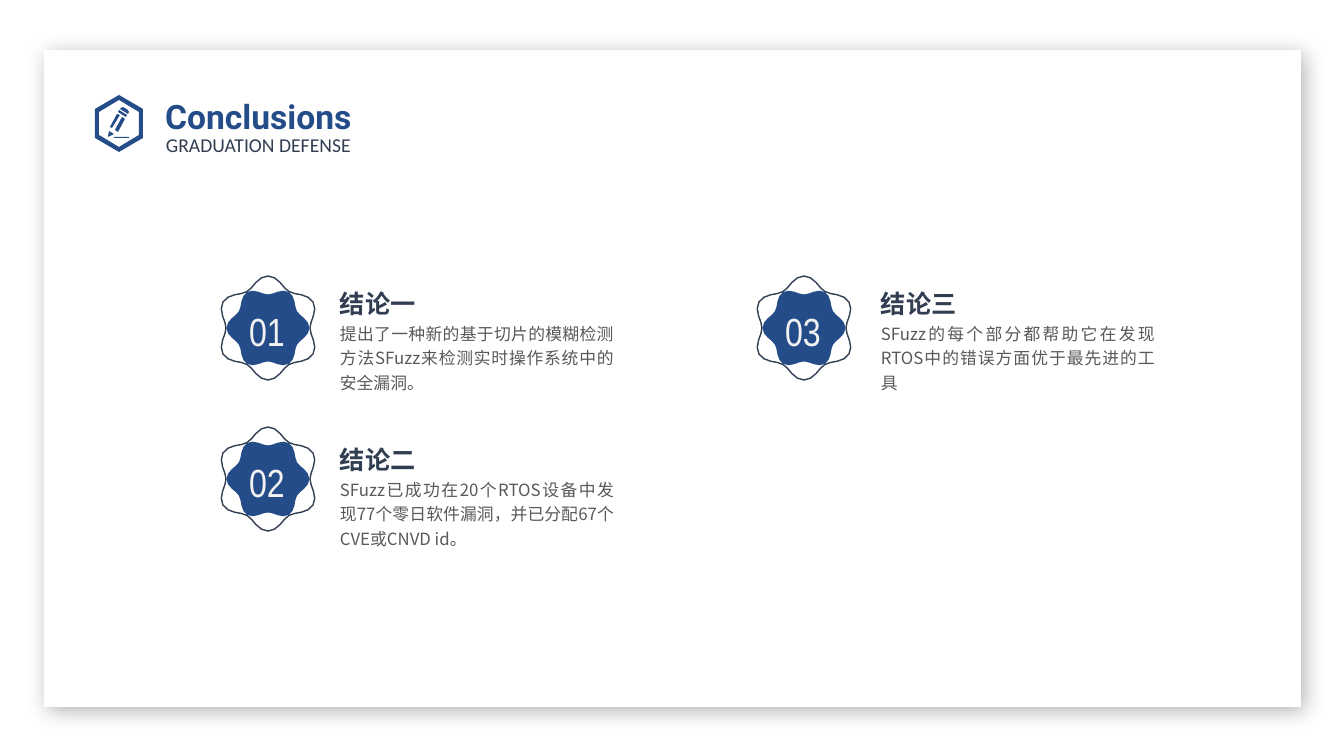
"""Build the conclusions slide of a graduation defense."""
import math
from dataclasses import dataclass
from typing import Any

import pptx
import pptx.dml.color
import pptx.enum.shapes
import pptx.enum.text
import pptx.oxml
import pptx.oxml.ns
import pptx.util
from lxml import etree

PX = 914400 / 100.8
STEPS = 48
ALIGN = pptx.enum.text.PP_ALIGN
Point = tuple[float, float]


@dataclass(frozen=True)
class Theme:
    white: str = "FFFFFF"
    blue: str = "244C89"
    navy: str = "313D51"
    gray: str = "595959"
    pale: str = "F2F2F2"
    title: int = 24
    sub: int = 14
    num: int = 28
    head: int = 18
    body: int = 12
    cjk: str = "Noto Sans CJK SC"


@dataclass(frozen=True)
class Item:
    num: str
    x: int
    y: int
    left: int
    top: int
    head: str
    body: str


@dataclass(frozen=True)
class Bloom:
    mean: float
    wave: float
    fill: str | None
    line: str | None


LOOK = Theme()
ITEMS = [
    Item("01", 268, 328, 340, 282, "结论一",
         "提出了一种新的基于切片的模糊检测方法SFuzz来检测实时操作系统中的安全漏洞。"),
    Item("02", 268, 479, 340, 438, "结论二",
         "SFuzz已成功在20个RTOS设备中发现77个零日软件漏洞，并已分配67个CVE或CNVD id。"),
    Item("03", 804, 328, 881, 282, "结论三",
         "SFuzz的每个部分都帮助它在发现RTOS中的错误方面优于最先进的工具"),
]
CORE = Bloom(37.5, 4, LOOK.blue, None)
RIM = Bloom(47, -5, None, LOOK.navy)
ICON: list[list[Point]] = [
    [(119, 95), (143, 109), (143, 138), (119, 152), (95, 138), (95, 109)],
    [(119, 100), (99, 112), (99, 135), (119, 147), (139, 135), (139, 112)],
    [(114, 137), (129, 137), (129, 138), (114, 138)],
    [(115, 130), (122, 117), (125, 119), (118, 132)],
    [(110, 127), (117, 114), (120, 115), (112, 128)],
    [(108, 137), (109, 131), (114, 134)],
    [(119, 110), (118, 112), (126, 117), (127, 115)],
    [(120, 109), (121, 108), (123, 107), (128, 110), (129, 112), (128, 114)],
]


def emu(px: float) -> int:
    return round(px * PX)


def tint(code: str) -> pptx.dml.color.RGBColor:
    return pptx.dml.color.RGBColor.from_string(code)


def paint(shape: Any, fill: str | None, line: str | None = None) -> None:
    shape.shadow.inherit = False
    if fill:
        shape.fill.solid()
        shape.fill.fore_color.rgb = tint(fill)
    else:
        shape.fill.background()
    if line:
        shape.line.color.rgb = tint(line)
        shape.line.width = pptx.util.Pt(1)
    else:
        shape.line.fill.background()


def trace(slide: Any, loops: list[list[Point]], fill: str | None,
          line: str | None = None) -> None:
    paths = [[(emu(x), emu(y)) for x, y in loop] for loop in loops]
    pen = slide.shapes.build_freeform(*paths[0][0])
    for rank, path in enumerate(paths):
        if rank:
            pen.move_to(*path[0])
        pen.add_line_segments(path[1:], close=True)
    paint(pen.convert_to_shape(), fill, line)


def bloom(slide: Any, x: int, y: int, form: Bloom) -> None:
    loop: list[Point] = []
    for step in range(STEPS):
        turn = math.tau * step / STEPS
        reach = form.mean + form.wave * math.cos(6 * turn)
        loop.append((x + reach * math.cos(turn), y + reach * math.sin(turn)))
    trace(slide, [loop], form.fill, form.line)


def place(shape: Any, box: tuple[int, int, int, int]) -> None:
    shape.left, shape.top, shape.width, shape.height = map(emu, box)


def write(shape: Any, text: str, *, size: int, color: str, font: str,
          bold: bool = False, align: Any = ALIGN.LEFT, space: Any = 1.2,
          inset: tuple[int, ...] | None = (0, 0, 0, 0),
          grow: bool = True, wrap: bool = True) -> None:
    frame = shape.text_frame
    frame.word_wrap = wrap
    fit = pptx.enum.text.MSO_AUTO_SIZE
    frame.auto_size = fit.SHAPE_TO_FIT_TEXT if grow else fit.NONE
    frame.vertical_anchor = pptx.enum.text.MSO_ANCHOR.TOP
    if inset:
        (frame.margin_left, frame.margin_top, frame.margin_right,
         frame.margin_bottom) = map(emu, inset)
    para = frame.paragraphs[0]
    para.alignment = align
    para.line_spacing = space
    run = para.add_run()
    run.text = text
    run.font.size = pptx.util.Pt(size)
    run.font.bold = bold
    run.font.name = font
    run.font.color.rgb = tint(color)
    for latin in list(shape.element.iter(pptx.oxml.ns.qn("a:latin"))):
        east = etree.Element(pptx.oxml.ns.qn("a:ea"))
        east.set("typeface", font)
        latin.addnext(east)


def label(slide: Any, box: tuple[int, int, int, int], text: str,
          **style: Any) -> None:
    shape = slide.shapes.add_textbox(*map(emu, box))
    write(shape, text, **style)


def card(slide: Any) -> Any:
    kind = pptx.enum.shapes.MSO_SHAPE.RECTANGLE
    shape = slide.shapes.add_shape(kind, *map(emu, (44, 50, 1257, 657)))
    paint(shape, LOOK.white)
    shade = pptx.oxml.parse_xml(
        f'<a:outerShdw {pptx.oxml.ns.nsdecls("a")} blurRad="190500" '
        'dist="63500" dir="2700000" algn="tl" rotWithShape="0">'
        '<a:srgbClr val="000000"><a:alpha val="30000"/></a:srgbClr>'
        '</a:outerShdw>')
    shape.element.spPr.find(pptx.oxml.ns.qn("a:effectLst")).append(shade)
    return shape


def show(slide: Any, item: Item) -> None:
    bloom(slide, item.x, item.y, CORE)
    label(slide, (item.x - 20, item.y - 30, 38, 51), item.num,
          size=LOOK.num, color=LOOK.pale, font="Arial Narrow",
          align=ALIGN.CENTER, wrap=False)
    bloom(slide, item.x, item.y, RIM)
    label(slide, (item.left, item.top + 38, 274, 72), item.body,
          size=LOOK.body, color=LOOK.gray, font=LOOK.cjk,
          align=ALIGN.JUSTIFY)
    label(slide, (item.left, item.top, 181, 33), item.head,
          size=LOOK.head, color=LOOK.navy, font=LOOK.cjk, bold=True)


def main() -> None:
    deck = pptx.Presentation()
    deck.slide_width, deck.slide_height = emu(1344), emu(756)
    slide = deck.slides.add_slide(deck.slide_layouts.get_by_name("Title Only"))
    title = slide.shapes.title
    card(slide).element.addnext(title.element)
    trace(slide, ICON, LOOK.blue)
    label(slide, (166, 124, 219, 34), "GRADUATION DEFENSE",
          size=LOOK.sub, color=LOOK.navy, font="Calibri",
          space=pptx.util.Pt(23), inset=(0, 0, 0, 5))
    place(title, (155, 83, 400, 50))
    write(title, "Conclusions", size=LOOK.title, color=LOOK.blue,
          font="Roboto", bold=True, inset=None, grow=False)
    for item in ITEMS:
        show(slide, item)
    deck.save("out.pptx")


if __name__ == "__main__":
    main()
